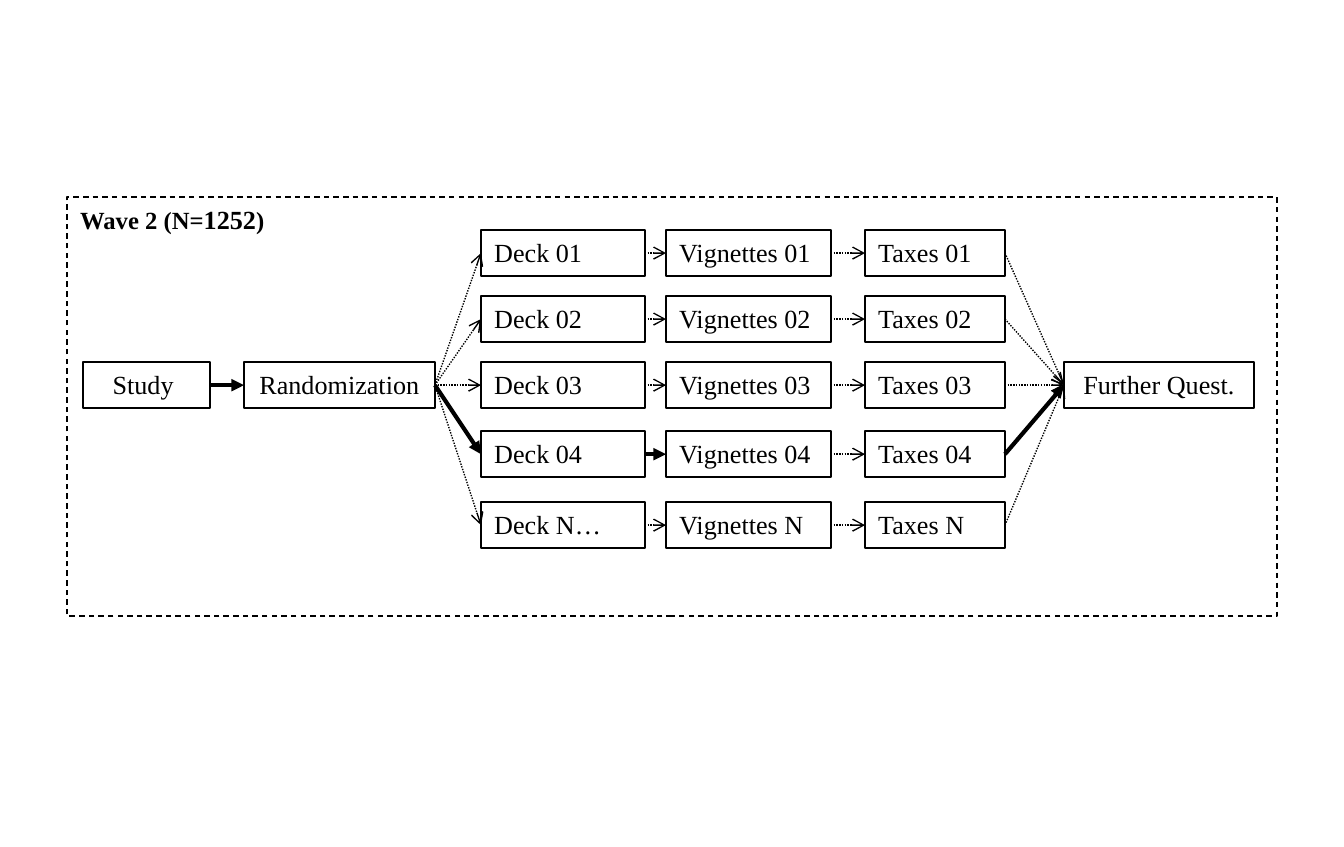
import pptx
import pptx.dml.color
import pptx.enum.dml
import pptx.enum.shapes
import pptx.enum.text
import pptx.oxml
import pptx.oxml.ns
import pptx.util
from lxml import etree

PX = 914400 / 134.4
FONT = "Times New Roman"
BLACK, WHITE = "000000", "FFFFFF"
BOX_H = 46
LEFT_SITE, RIGHT_SITE = 1, 3
DASH = pptx.enum.dml.MSO_LINE
ALIGN = pptx.enum.text.PP_ALIGN
DOTTED = {"width": 0.75, "dash": DASH.ROUND_DOT, "head": "arrow"}
BOLD = {"width": 2.25, "dash": DASH.SOLID, "head": "triangle"}


def px(n):
    return pptx.util.Emu(round(n * PX))


def color(hex_code):
    return pptx.dml.color.RGBColor.from_string(hex_code)


def style_line(line, width, dash):
    line.color.rgb = color(BLACK)
    for name, value in {"width": pptx.util.Pt(width), "dash_style": dash}.items():
        setattr(line, name, value)


def add_rect(s, left, top, width, height):
    sp = s.shapes.add_shape(pptx.enum.shapes.MSO_SHAPE.RECTANGLE,
                            px(left), px(top), px(width), px(height))
    sp.shadow.inherit = False
    return sp


def add_run(p, text, size, bold=False):
    r = p.add_run()
    r.text = text
    fmt = {"name": FONT, "size": pptx.util.Pt(size), "bold": bold}
    for name, value in fmt.items():
        setattr(r.font, name, value)
    r.font.color.rgb = color(BLACK)


def add_box(s, text, left, top, width, align=ALIGN.LEFT):
    sp = add_rect(s, left, top, width, BOX_H)
    sp.fill.solid()
    sp.fill.fore_color.rgb = color(WHITE)
    style_line(sp.line, 1, DASH.SOLID)
    tf = sp.text_frame
    fmt = {"word_wrap": True,
           "auto_size": pptx.enum.text.MSO_AUTO_SIZE.SHAPE_TO_FIT_TEXT,
           "vertical_anchor": pptx.enum.text.MSO_ANCHOR.TOP}
    for name, value in fmt.items():
        setattr(tf, name, value)
    p = tf.paragraphs[0]
    p.alignment = align
    add_run(p, text, 14)
    return sp


def add_arrow(s, source, target, width, dash, head):
    """Glue an arrow from the right side of source to the left side of target."""
    line = s.shapes.add_connector(pptx.enum.shapes.MSO_CONNECTOR.STRAIGHT, 0, 0, 0, 0)
    line.begin_connect(source, RIGHT_SITE)
    line.end_connect(target, LEFT_SITE)
    style_line(line.line, width, dash)
    ln = line.line._get_or_add_ln()
    etree.SubElement(ln, pptx.oxml.ns.qn("a:tailEnd"), type=head)
    etree.SubElement(line._element.spPr, pptx.oxml.ns.qn("a:effectLst"))


def add_frame(s, left, top, width, height):
    """Dashed outline of the wave, titled in its top left corner."""
    sp = add_rect(s, left, top, width, height)
    sp.fill.background()
    style_line(sp.line, 0.75, DASH.DASH)
    tf = sp.text_frame
    tf.word_wrap = True
    tf.vertical_anchor = pptx.enum.text.MSO_ANCHOR.TOP
    p = tf.paragraphs[0]
    p.alignment = ALIGN.LEFT
    for text, size in [("Wave 2 (N=", 13.2), ("1252", 14), (")", 13.2)]:
        add_run(p, text, size, bold=True)


def add_flow(s, left, top):
    """Study, randomization, rows of decks and the closing questions."""
    row_tops = [33, 99, 165, 234, 305]
    middle = top + row_tops[2]
    columns = [("Deck", 414, 164), ("Vignettes", 599, 165), ("Taxes", 798, 140)]
    numbers = ["01", "02", "03", "04", "N"]
    chosen = "04"

    study, randomization, further = [
        add_box(s, text, left + x, middle, width, ALIGN.CENTER)
        for text, x, width in [("Study ", 16, 127), ("Randomization ", 177, 191),
                               ("Further Quest.", 997, 190)]]
    add_arrow(s, study, randomization, **BOLD)

    for number, row_top in zip(numbers, row_tops):
        deck, vignettes, taxes = [
            add_box(s, f"{name} {number}" + ("…" if (name, number) == ("Deck", "N") else ""),
                    left + x, top + row_top, width)
            for name, x, width in columns]
        main = BOLD if number == chosen else DOTTED
        for source, target, style in [(randomization, deck, main), (deck, vignettes, main),
                                      (vignettes, taxes, DOTTED), (taxes, further, main)]:
            add_arrow(s, source, target, **style)


def main():
    prs = pptx.Presentation()
    prs.slide_width, prs.slide_height = pptx.util.Inches(10), pptx.util.Inches(6.3)
    s = prs.slides.add_slide(prs.slide_layouts[6])
    left, top = 67, 197
    add_flow(s, left, top)
    add_frame(s, left, top, 1210, 419)
    prs.save("out.pptx")


if __name__ == "__main__":
    main()
